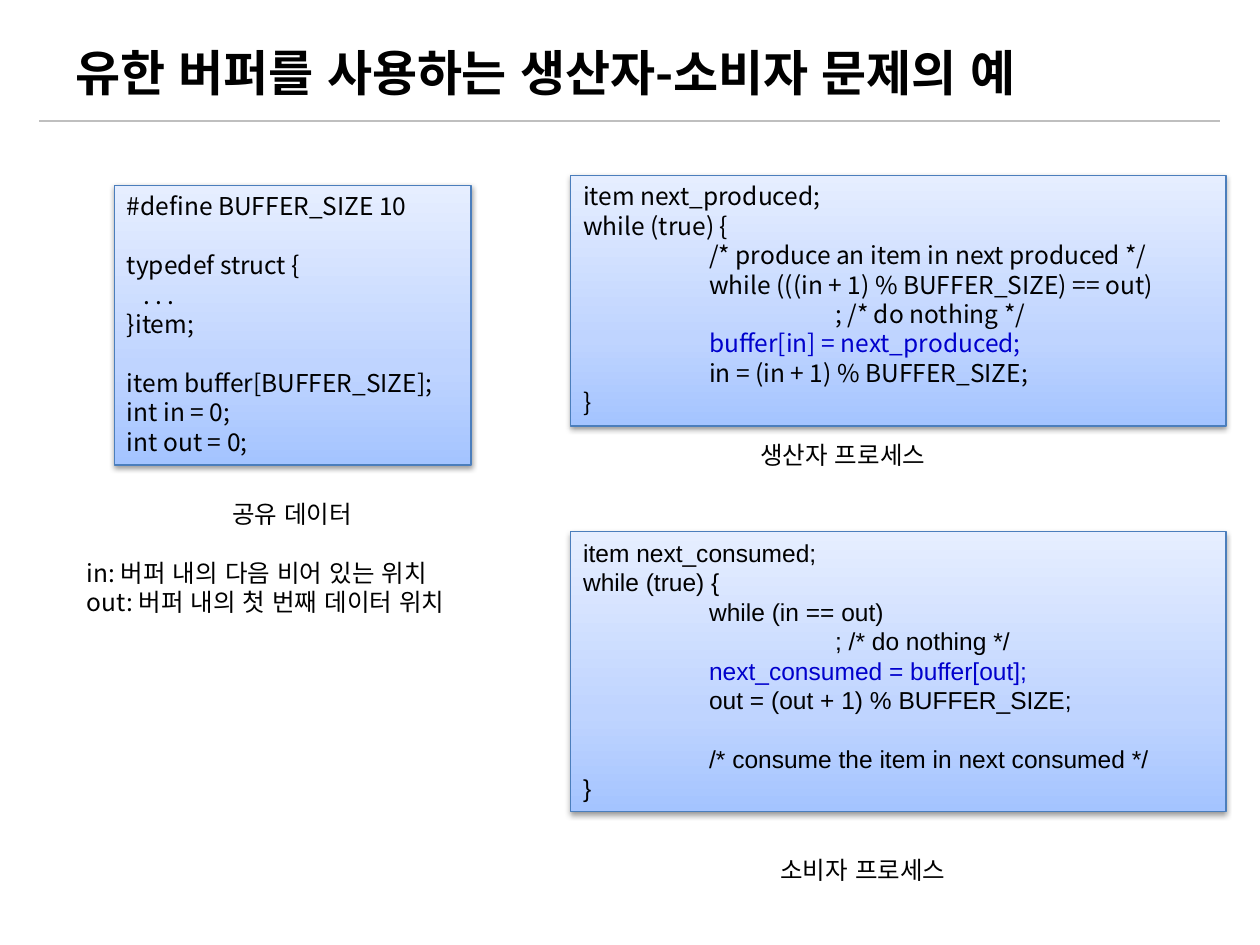
from dataclasses import dataclass

from lxml import etree
from pptx import Presentation
from pptx import util as u
from pptx.dml.color import RGBColor
from pptx.enum import shapes, text
from pptx.oxml import parse_xml
from pptx.oxml.ns import nsdecls, qn


@dataclass(frozen=True)
class Theme:
    ink: str = "000000"
    accent: str = "0000CC"
    rule: str = "BFBFBF"
    border: str = "4B7EBC"
    panel_stops: tuple = ((0, "A4C4FF"), (35, "BFD4FF"), (100, "E6EEFF"))
    korean: str = "Noto Sans CJK KR"
    latin: str = "Arial"
    title_size: float = 28
    body_size: float = 14
    line_pitch: float = 16.8
    hairline: float = 0.75


THEME = Theme()


@dataclass(frozen=True)
class Line:
    text: str
    tabs: int = 0
    indent: float = 0
    gap: bool = False  # one empty line's space above
    accent: bool = False
    centred: bool = False


SHARED_DATA = [
    Line("#define BUFFER_SIZE 10"),
    Line("typedef struct {", gap=True),
    Line(". . .", indent=0.13),
    Line("}item;"),
    Line("item buffer[BUFFER_SIZE];", gap=True),
    Line("int in = 0;"),
    Line("int out = 0;"),
]
PRODUCER = [
    Line("item next_produced;"),
    Line("while (true) {"),
    Line("/* produce an item in next produced */", tabs=1),
    Line("while (((in + 1) % BUFFER_SIZE) == out)", tabs=1),
    Line("; /* do nothing */", tabs=2),
    Line("buffer[in] = next_produced;", tabs=1, accent=True),
    Line("in = (in + 1) % BUFFER_SIZE;", tabs=1),
    Line("}"),
]
CONSUMER = [
    Line("item next_consumed;"),
    Line("while (true) {"),
    Line("while (in == out)", tabs=1),
    Line("; /* do nothing */", tabs=2),
    Line("next_consumed = buffer[out];", tabs=1, accent=True),
    Line("out = (out + 1) % BUFFER_SIZE;", tabs=1),
    Line("/* consume the item in next consumed */", tabs=1, gap=True),
    Line("}"),
]
SHARED_NOTES = [
    Line("공유 데이터", centred=True),
    Line("in: 버퍼 내의 다음 비어 있는 위치", gap=True),
    Line("out: 버퍼 내의 첫 번째 데이터 위치"),
]


def inches(*lengths):
    return [u.Inches(length) for length in lengths]


def style_font(paragraph, name, size, colour, bold=False):
    """Set the font; Hangul takes its word spaces from the Latin typeface."""
    font = paragraph.font
    font.name, font.size, font.bold = name, u.Pt(size), bold
    font.color.rgb = RGBColor.from_string(colour)
    for run in paragraph.runs:
        run.font.name = name
        east_asian = etree.SubElement(run.font._element, qn("a:ea"))
        east_asian.set("typeface", THEME.latin)


def add_tab_stops(paragraph, count):
    """Put left tab stops one inch apart."""
    stops = etree.SubElement(paragraph._p.get_or_add_pPr(), qn("a:tabLst"))
    for number in range(1, count + 1):
        etree.SubElement(stops, qn("a:tab"), pos=str(u.Inches(number)), algn="l")


def write_lines(frame, lines, font_name):
    frame.word_wrap = True
    frame.vertical_anchor = text.MSO_ANCHOR.TOP
    for number, line in enumerate(lines):
        paragraph = frame.add_paragraph() if number else frame.paragraphs[0]
        paragraph.add_run().text = "\t" * line.tabs + line.text
        paragraph.alignment = text.PP_ALIGN.CENTER if line.centred else text.PP_ALIGN.LEFT
        paragraph.line_spacing = u.Pt(THEME.line_pitch)
        if line.gap:
            paragraph.space_before = u.Pt(THEME.line_pitch)
        if line.indent:
            paragraph._p.get_or_add_pPr().set("marL", str(u.Inches(line.indent)))
        if line.tabs:
            add_tab_stops(paragraph, line.tabs)
        style_font(paragraph, font_name, THEME.body_size,
                   THEME.accent if line.accent else THEME.ink)


def add_title(slide, wording):
    frame = slide.shapes.add_textbox(*inches(0.5, 0.3, 9, 0.54)).text_frame
    frame.word_wrap = True
    frame.vertical_anchor = text.MSO_ANCHOR.MIDDLE
    paragraph = frame.paragraphs[0]
    paragraph.add_run().text = wording
    style_font(paragraph, THEME.korean, THEME.title_size, THEME.ink, bold=True)


def add_title_rule(slide):
    rule = slide.shapes.add_connector(shapes.MSO_CONNECTOR.STRAIGHT,
                                      *inches(0.31, 0.96, 9.68, 0.96))
    rule.line.color.rgb = RGBColor.from_string(THEME.rule)
    rule.line.width = u.Pt(THEME.hairline)
    etree.SubElement(rule._element.spPr, qn("a:effectLst"))


def add_code_panel(slide, place, lines, font_name=THEME.korean):
    panel = slide.shapes.add_shape(shapes.MSO_SHAPE.RECTANGLE, *inches(*place))
    panel.line.color.rgb = RGBColor.from_string(THEME.border)
    panel.line.width = u.Pt(THEME.hairline)
    stops = "".join(f'<a:gs pos="{position * 1000}"><a:srgbClr val="{colour}"/></a:gs>'
                    for position, colour in THEME.panel_stops)
    properties = panel._element.spPr
    properties.find(qn("a:ln")).addprevious(parse_xml(
        f'<a:gradFill {nsdecls("a")} rotWithShape="1"><a:gsLst>{stops}</a:gsLst>'
        '<a:lin ang="16200000" scaled="0"/></a:gradFill>'))
    properties.append(parse_xml(
        f'<a:effectLst {nsdecls("a")}><a:outerShdw blurRad="{u.Pt(3.1)}" '
        f'dist="{u.Pt(1.6)}" dir="5400000" rotWithShape="0">'
        '<a:srgbClr val="000000"><a:alpha val="38000"/></a:srgbClr>'
        '</a:outerShdw></a:effectLst>'))
    write_lines(panel.text_frame, lines, font_name)


def add_caption(slide, place, lines):
    box = slide.shapes.add_textbox(*inches(*place))
    write_lines(box.text_frame, lines, THEME.korean)


def main():
    deck = Presentation()
    deck.slide_width, deck.slide_height = inches(10, 7.5)
    slide = deck.slides.add_slide(deck.slide_layouts[6])

    add_title_rule(slide)
    add_title(slide, "유한 버퍼를 사용하는 생산자-소비자 문제의 예")
    add_code_panel(slide, (0.91, 1.47, 2.83, 2.22), SHARED_DATA)
    add_caption(slide, (0.59, 3.91, 3.46, 1.04), SHARED_NOTES)
    add_code_panel(slide, (4.53, 1.39, 5.2, 1.99), PRODUCER)
    add_code_panel(slide, (4.53, 4.22, 5.2, 2.22), CONSUMER, THEME.latin)
    add_caption(slide, (5.47, 3.44, 2.44, 0.34), [Line("생산자 프로세스", centred=True)])
    add_caption(slide, (5.63, 6.74, 2.44, 0.34), [Line("소비자 프로세스", centred=True)])

    deck.save("out.pptx")


if __name__ == "__main__":
    main()
